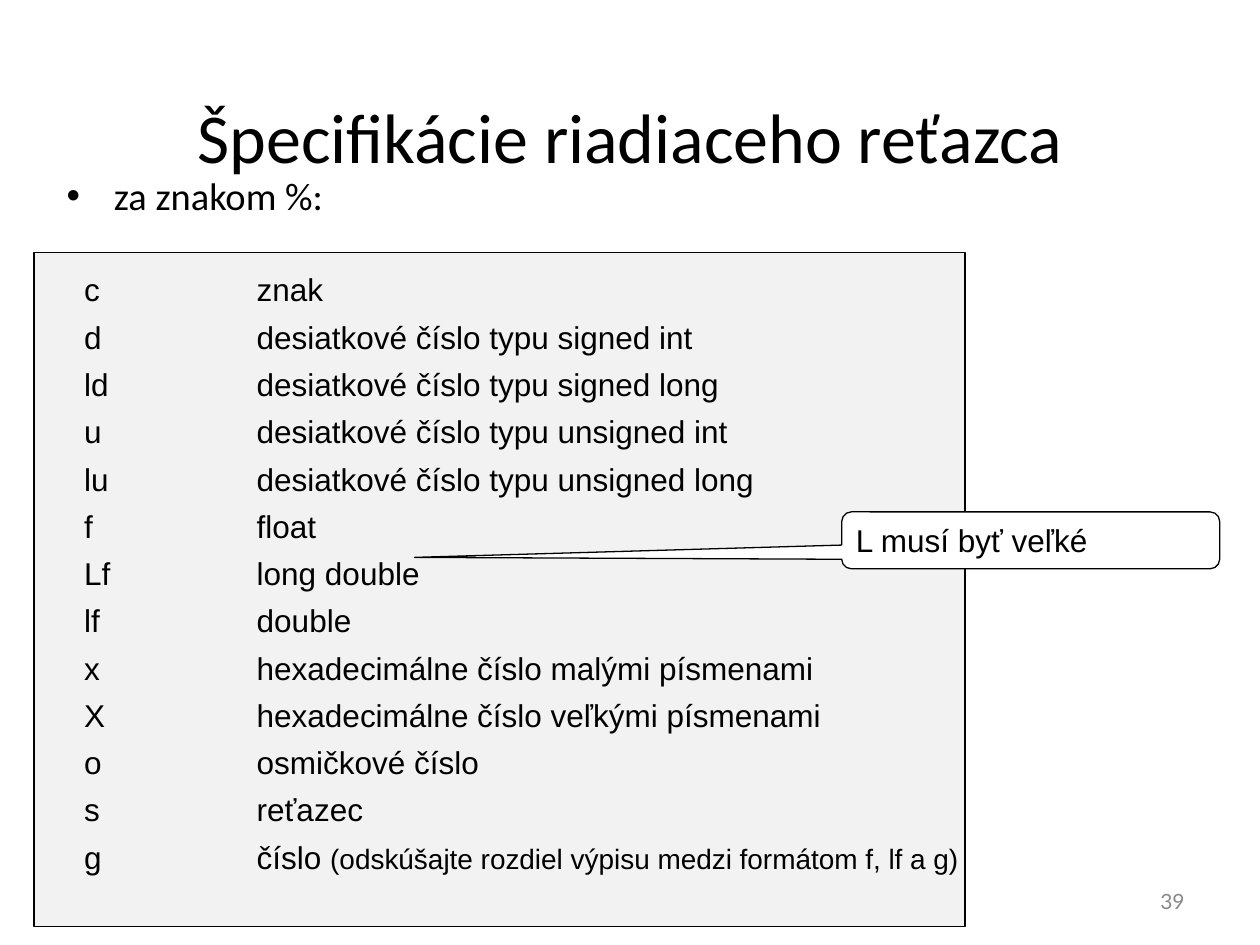
import dataclasses
import typing

import lxml.etree
import pptx
import pptx.dml.color
import pptx.enum.shapes
import pptx.enum.text
import pptx.oxml.ns
import pptx.util

Pt = pptx.util.Pt
Align = pptx.enum.text.PP_ALIGN
Anchor = pptx.enum.text.MSO_ANCHOR
Shape = pptx.enum.shapes.MSO_SHAPE


@dataclasses.dataclass(frozen=True)
class Theme:
    ink: str = "000000"
    panel: str = "F2F2F2"
    paper: str = "FFFFFF"
    muted: str = "898989"
    head: str = "Calibri"
    body: str = "Arial"
    foot: str = "Lato"
    title: float = 40
    lead: float = 22
    text: float = 18
    small: float = 16
    page: float = 12
    line: float = 0.75


@dataclasses.dataclass(frozen=True)
class Box:
    left: float
    top: float
    width: float
    height: float

    def lengths(self) -> list:
        return [Pt(side) for side in dataclasses.astuple(self)]


@dataclasses.dataclass(frozen=True)
class Row:
    code: str
    sense: str
    note: str = ""


THEME = Theme()
TAB = 98.64
ROWS = [
    Row("c", "znak"),
    Row("d", "desiatkové číslo typu signed int"),
    Row("ld", "desiatkové číslo typu signed long"),
    Row("u", "desiatkové číslo typu unsigned int"),
    Row("lu", "desiatkové číslo typu unsigned long"),
    Row("f", "float"),
    Row("Lf", "long double"),
    Row("lf", "double"),
    Row("x", "hexadecimálne číslo malými písmenami"),
    Row("X", "hexadecimálne číslo veľkými písmenami"),
    Row("o", "osmičkové číslo"),
    Row("s", "reťazec"),
    Row("g", "číslo ", "(odskúšajte rozdiel výpisu medzi formátom f, lf a g)"),
]


def add_mark(part: typing.Any, tag: str, **values: str) -> typing.Any:
    return lxml.etree.SubElement(part, pptx.oxml.ns.qn(tag), values)


def write(para: typing.Any, text: str, *, size: float = THEME.text,
          font: str = THEME.body, ink: str = THEME.ink,
          align: typing.Any = Align.LEFT) -> None:
    para.alignment = align
    run = para.add_run()
    run.text = text
    run.font.size = Pt(size)
    run.font.name = font
    run.font.color.rgb = pptx.dml.color.RGBColor.from_string(ink)


def add_text(slide: typing.Any, box: Box, anchor: typing.Any = Anchor.TOP) -> typing.Any:
    frame = slide.shapes.add_textbox(*box.lengths()).text_frame
    frame.word_wrap = True
    frame.vertical_anchor = anchor
    return frame


def add_panel(slide: typing.Any, kind: typing.Any, box: Box, fill: str) -> typing.Any:
    panel = slide.shapes.add_shape(kind, *box.lengths())
    panel.shadow.inherit = False
    panel.fill.solid()
    panel.fill.fore_color.rgb = pptx.dml.color.RGBColor.from_string(fill)
    panel.line.color.rgb = pptx.dml.color.RGBColor.from_string(THEME.ink)
    panel.line.width = Pt(THEME.line)
    return panel


def add_lead(slide: typing.Any, box: Box, text: str) -> None:
    para = add_text(slide, box).paragraphs[0]
    props = para._p.get_or_add_pPr()
    props.set("marL", str(Pt(27)))
    props.set("indent", str(Pt(-27)))
    add_mark(props, "a:buFont", typeface=THEME.body)
    add_mark(props, "a:buChar", char="•")
    write(para, text, size=THEME.lead, font=THEME.head)


def add_rows(slide: typing.Any, box: Box, rows: list[Row]) -> None:
    frame = add_text(slide, box)
    for place, row in enumerate(rows):
        para = frame.add_paragraph() if place else frame.paragraphs[0]
        stops = add_mark(para._p.get_or_add_pPr(), "a:tabLst")
        add_mark(stops, "a:tab", pos=str(Pt(TAB)), algn="l")
        if place:
            para.space_before = Pt(5.4)
        write(para, f"{row.code}\t{row.sense}")
        if row.note:
            write(para, row.note, size=THEME.small)


def add_callout(slide: typing.Any, box: Box, text: str) -> None:
    panel = add_panel(slide, Shape.ROUNDED_RECTANGULAR_CALLOUT, box, THEME.paper)
    for place, value in enumerate((-1.63, 0.3, 0.17)):
        panel.adjustments[place] = value
    frame = panel.text_frame
    frame.margin_left = frame.margin_right = Pt(6.5)
    frame.word_wrap = True
    frame.vertical_anchor = Anchor.MIDDLE
    write(frame.paragraphs[0], text)


def main() -> None:
    deck = pptx.Presentation()
    deck.slide_width, deck.slide_height = Pt(720), Pt(540)
    slide = deck.slides.add_slide(deck.slide_layouts[6])

    title = add_text(slide, Box(36, 55.4, 648, 44.6), Anchor.MIDDLE)
    write(title.paragraphs[0], "Špecifikácie riadiaceho reťazca",
          size=THEME.title, font=THEME.head, align=Align.CENTER)
    add_lead(slide, Box(31, 95, 675, 41), "za znakom %:")
    add_panel(slide, Shape.RECTANGLE, Box(19.5, 144.5, 532, 385), THEME.panel)
    add_rows(slide, Box(41, 151, 515.5, 376), ROWS)
    add_callout(slide, Box(481, 292.5, 216, 32.5), "L musí byť veľké")
    page = add_text(slide, Box(516, 500.5, 168, 28.8), Anchor.MIDDLE)
    write(page.paragraphs[0], "39", size=THEME.page, font=THEME.foot,
          ink=THEME.muted, align=Align.RIGHT)
    deck.save("out.pptx")


if __name__ == "__main__":
    main()
